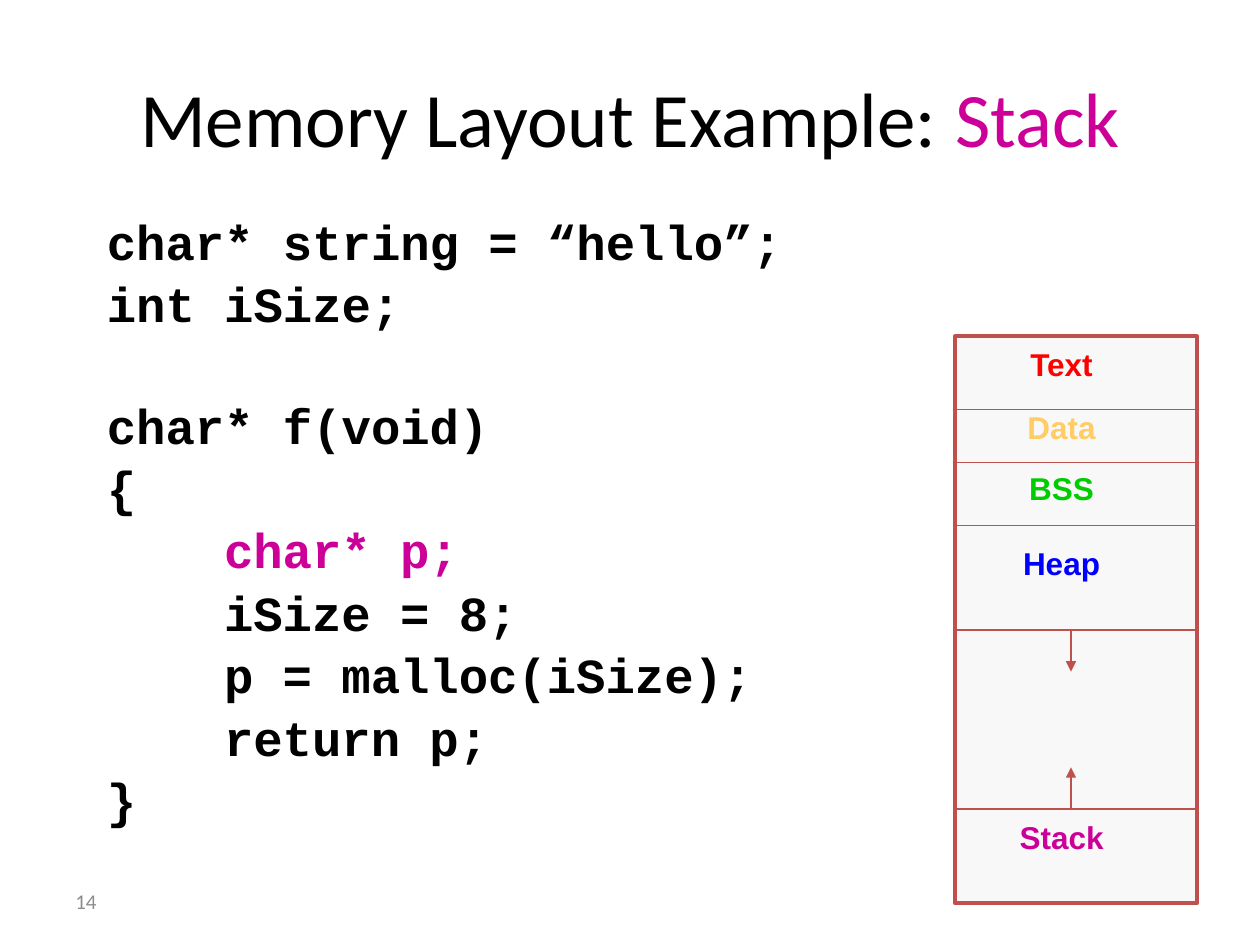
"""Build a slide on the memory layout of a C program, highlighting the stack."""
from dataclasses import dataclass

from lxml import etree
from pptx import Presentation
from pptx.dml.color import RGBColor
from pptx.enum import shapes, text
from pptx.oxml import ns
from pptx.util import Inches, Pt


@dataclass(frozen=True)
class Theme:
    ink: str = "000000"
    stack: str = "CC0099"
    muted: str = "8C8C8C"
    panel: str = "F8F8F8"
    border: str = "C0504D"
    title_size: int = 44
    code_size: int = 28
    label_size: int = 18
    number_size: int = 12


theme = Theme()
prs = Presentation()
prs.slide_width, prs.slide_height = Inches(10), Inches(7.5)
slide = prs.slides.add_slide(prs.slide_layouts[5])


def add_run(p, content, size, face, color, bold=False):
    r = p.add_run()
    r.text = content
    for key, value in {"size": Pt(size), "name": face, "bold": bold}.items():
        setattr(r.font, key, value)
    r.font.color.rgb = RGBColor.from_string(color)


def add_line(x1, y1, x2, y2, arrow=False):
    sp = slide.shapes.add_connector(
        shapes.MSO_CONNECTOR.STRAIGHT, *map(Inches, (x1, y1, x2, y2)))
    sp.line.color.rgb = RGBColor.from_string(theme.border)
    sp.line.width = Pt(0.75)
    if arrow:
        etree.SubElement(sp.line._get_or_add_ln(), ns.qn("a:tailEnd"), type="triangle")
    etree.SubElement(sp._element.spPr, ns.qn("a:effectLst"))


title = slide.shapes.title
box = {"left": 0.5, "top": 0.3, "width": 9, "height": 1.25}
for key, value in box.items():
    setattr(title, key, Inches(value))
title.text_frame.vertical_anchor = text.MSO_ANCHOR.MIDDLE
p = title.text_frame.paragraphs[0]
p.alignment = text.PP_ALIGN.CENTER
add_run(p, "Memory Layout Example: ", theme.title_size, "Calibri", theme.ink)
add_run(p, "Stack", theme.title_size, "Calibri", theme.stack)

number = slide.shapes.add_textbox(Inches(0.5), Inches(6.95), Inches(2.33), Inches(0.4))
tf = number.text_frame
tf.word_wrap = True
tf.vertical_anchor = text.MSO_ANCHOR.MIDDLE
add_run(tf.paragraphs[0], "14", theme.number_size, "Calibri", theme.muted)

LINE_GAP, BLOCK_GAP, CODE_INDENT = 2, 35.7, 0.93
code = [
    ("char* string = “hello”;", 0, LINE_GAP, theme.ink),
    ("int iSize;", 0, LINE_GAP, theme.ink),
    ("char* f(void)", 0, BLOCK_GAP, theme.ink),
    ("{", 0, LINE_GAP, theme.ink),
    ("char* p;", 1, LINE_GAP, theme.stack),
    ("iSize = 8;", 1, LINE_GAP, theme.ink),
    ("p = malloc(iSize);", 1, LINE_GAP, theme.ink),
    ("return p;", 1, LINE_GAP, theme.ink),
    ("}", 0, LINE_GAP, theme.ink),
]
listing = slide.shapes.add_textbox(Inches(0.75), Inches(1.58), Inches(5.67), Inches(5.5))
tf = listing.text_frame
tf.word_wrap = True
tf.margin_top = Inches(0.1)
for i, (content, depth, gap, color) in enumerate(code):
    p = tf.add_paragraph() if i else tf.paragraphs[0]
    p.space_before = Pt(gap)
    p._p.get_or_add_pPr().set("marL", str(Inches(depth * CODE_INDENT)))
    add_run(p, content, theme.code_size, "Courier New", color, True)

LEFT, RIGHT, TOP, BOTTOM = 7.58, 9.5, 2.67, 7.17
HEAP_END, STACK_START, ARROW_X, ARROW_LENGTH = 5, 6.42, 8.5, 0.33
memory = slide.shapes.add_shape(
    shapes.MSO_SHAPE.RECTANGLE, *map(Inches, (LEFT, TOP, RIGHT - LEFT, BOTTOM - TOP)))
memory.shadow.inherit = False
memory.fill.solid()
memory.fill.fore_color.rgb = RGBColor.from_string(theme.panel)
memory.line.color.rgb = RGBColor.from_string(theme.border)
memory.line.width = Pt(2.25)

for y in (3.25, 3.67, 4.17, HEAP_END, STACK_START):
    add_line(LEFT, y, RIGHT, y)

segments = [
    ("Text", 2.69, "FF0000"),
    ("Data", 3.19, "FFCC66"),
    ("BSS", 3.67, "00CC00"),
    ("Heap", 4.27, "0000FF"),
    ("Stack", 6.44, theme.stack),
]
for name, top, color in segments:
    label = slide.shapes.add_textbox(Inches(7.88), Inches(top), Inches(1.09), Inches(0.5))
    label.text_frame.word_wrap = True
    p = label.text_frame.paragraphs[0]
    p.alignment = text.PP_ALIGN.CENTER
    add_run(p, name, theme.label_size, "Arial", color, True)

for start, step in ((HEAP_END, ARROW_LENGTH), (STACK_START, -ARROW_LENGTH)):
    add_line(ARROW_X, start, ARROW_X, start + step, arrow=True)

prs.save("out.pptx")
